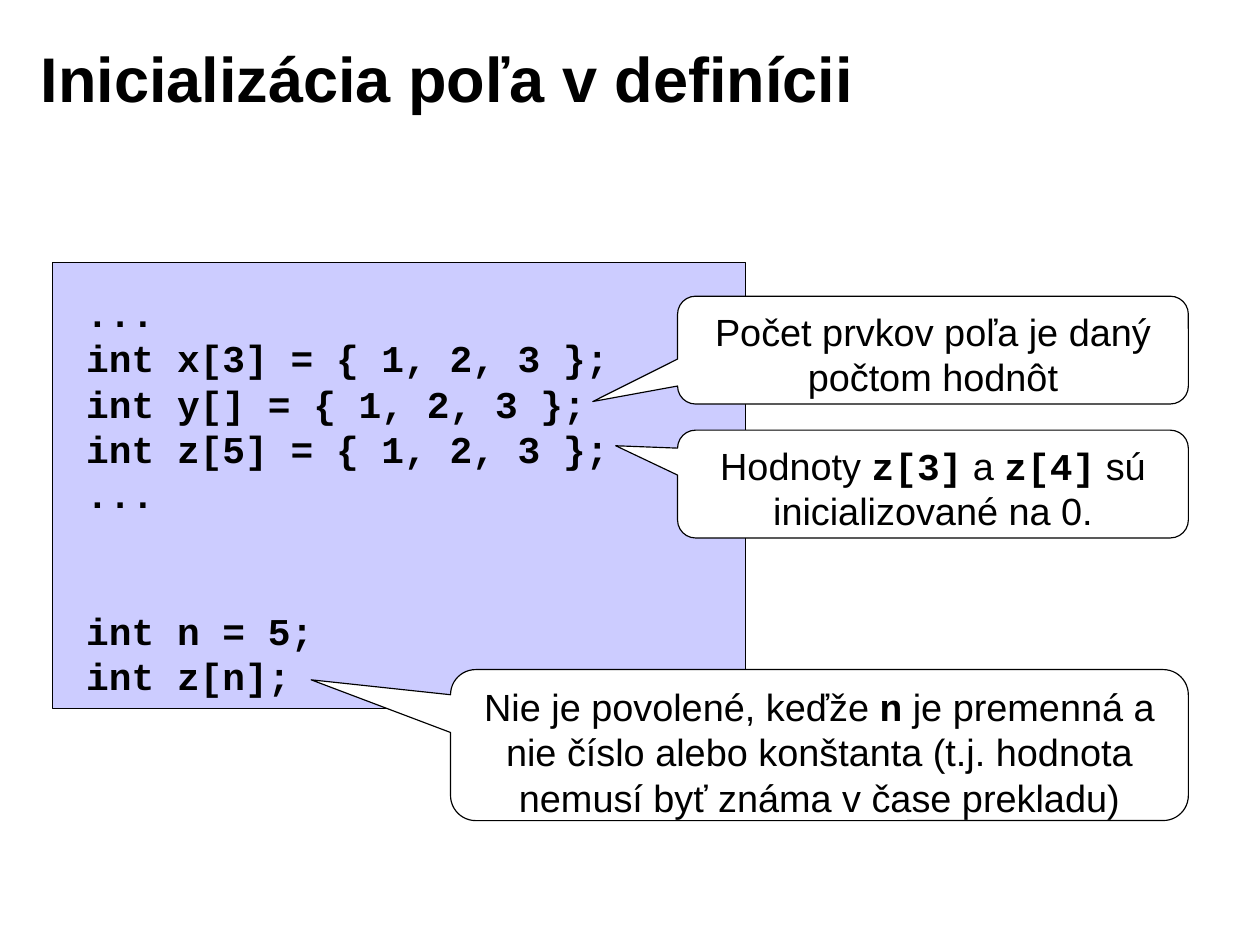
from pptx import Presentation
from pptx.dml.color import RGBColor
from pptx.enum.shapes import MSO_SHAPE as Shape
from pptx.enum.text import MSO_ANCHOR as Anchor, PP_ALIGN as Align
from pptx.util import Pt


def color(value):
    return RGBColor.from_string(value)


def add_run(paragraph, text, size, font, bold):
    run = paragraph.add_run()
    run.text = text
    run.font.size = Pt(size)
    run.font.name = font
    run.font.bold = bold
    run.font.color.rgb = color("000000")


presentation = Presentation()
presentation.slide_width, presentation.slide_height = Pt(799.2), Pt(597.6)
slide = presentation.slides.add_slide(presentation.slide_layouts[5])
shapes = slide.shapes

title = shapes.title
title.left, title.top, title.width, title.height = Pt(18), Pt(12.2), Pt(641.5), Pt(73.4)
title.text_frame.vertical_anchor = Anchor.MIDDLE
heading = title.text_frame.paragraphs[0]
heading.alignment = Align.LEFT
add_run(heading, "Inicializácia poľa v definícii", 40, "Arial", True)

code_panel = shapes.add_shape(Shape.RECTANGLE, Pt(33.1), Pt(166.3), Pt(440), Pt(283))
code = shapes.add_textbox(Pt(46.8), Pt(179.3), Pt(419.8), Pt(270))

code_lines = [
    ("...", 0),
    ("int x[3] = { 1, 2, 3 };", 0),
    ("int y[] = { 1, 2, 3 };", 0),
    ("int z[5] = { 1, 2, 3 };", 0),
    ("...", 0),
    ("int n = 5;", 57.6),
    ("int z[n];", 0),
]
code.text_frame.word_wrap = True
for index, (line, gap) in enumerate(code_lines):
    paragraph = code.text_frame.paragraphs[0] if index == 0 else code.text_frame.add_paragraph()
    paragraph.alignment = Align.LEFT
    paragraph.space_before = Pt(gap)
    paragraph.line_spacing = Pt(28.8)
    add_run(paragraph, line, 24, "Courier New", True)

callouts = [
    (429.8, 187.9, 324, 68.4, (-0.666, 0.477),
     [("Počet prvkov poľa je daný počtom hodnôt", False)]),
    (429.8, 272.9, 324, 68.4, (-0.621, -0.355),
     [("Hodnoty ", False), ("z[3]", True), (" a ", False), ("z[4]", True),
      (" sú inicializované na 0.", False)]),
    (285.8, 424.8, 468, 95.8, (-0.689, -0.432),
     [("Nie je povolené, keďže ", False), ("n", True),
      (" je premenná a nie číslo alebo konštanta (t.j. hodnota "
       "nemusí byť známa v čase prekladu)", False)]),
]
outlined = [(code_panel, "CCCCFF")]
for left, top, width, height, tip, parts in callouts:
    callout = shapes.add_shape(
        Shape.ROUNDED_RECTANGULAR_CALLOUT, Pt(left), Pt(top), Pt(width), Pt(height))
    callout.adjustments[0], callout.adjustments[1] = tip
    callout.text_frame.word_wrap = True
    callout.text_frame.vertical_anchor = Anchor.TOP
    note = callout.text_frame.paragraphs[0]
    note.alignment = Align.CENTER
    note.line_spacing = Pt(28.8)
    for text, is_code in parts:
        add_run(note, text, 24, "Courier New" if is_code else "Arial", is_code)
    outlined.append((callout, "FFFFFF"))

for outline, fill in outlined:
    outline.shadow.inherit = False
    outline.fill.solid()
    outline.fill.fore_color.rgb = color(fill)
    outline.line.color.rgb = color("000000")
    outline.line.width = Pt(0.75)

for block in [title, code] + [callout for callout, fill in outlined[1:]]:
    frame = block.text_frame
    frame.margin_left = frame.margin_right = Pt(7.9)
    frame.margin_top = frame.margin_bottom = Pt(4.3)

presentation.save("out.pptx")
